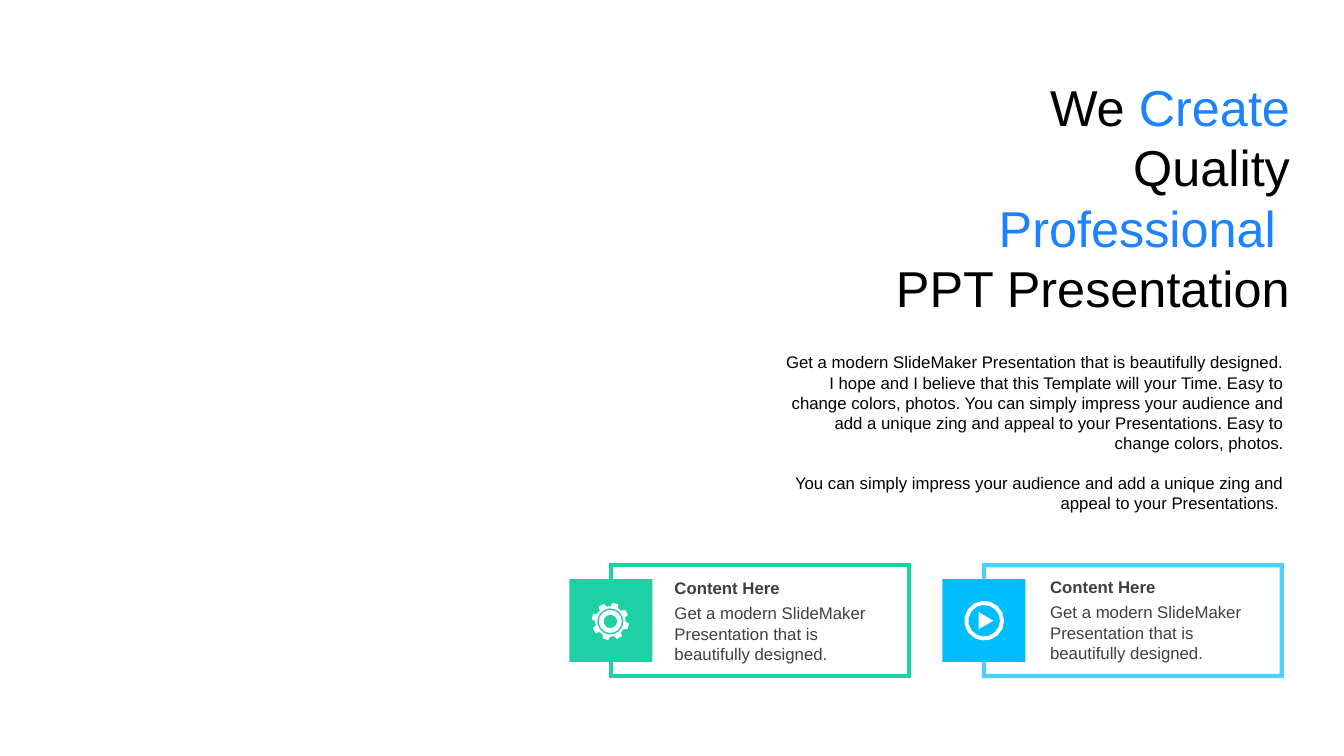
import math
import pptx
import pptx.util
import pptx.dml.color
import pptx.enum.shapes
import pptx.enum.text
import pptx.oxml

Pt = pptx.util.Pt
ALIGN = pptx.enum.text.PP_ALIGN
ANCHOR = pptx.enum.text.MSO_ANCHOR
RECT = pptx.enum.shapes.MSO_SHAPE.RECTANGLE
NS = 'xmlns:a="http://schemas.openxmlformats.org/drawingml/2006/main"'
BLACK, BLUE, GRAY, WHITE = "000000", "1C82FF", "3F3F3F", "FFFFFF"
GREEN, CYAN = "1ED0A6", "00BDFB"
PITCH = 266.4


def tint(target, color):
    target.rgb = pptx.dml.color.RGBColor.from_string(color)


def paint(shape, color):
    shape.shadow.inherit = False
    shape.fill.solid()
    tint(shape.fill.fore_color, color)
    shape.line.fill.background()


def place(shape, left, top, width, height):
    shape.left, shape.top = Pt(left), Pt(top)
    shape.width, shape.height = Pt(width), Pt(height)


def setup(frame, anchor, side, edge):
    frame.word_wrap = True
    frame.auto_size = pptx.enum.text.MSO_AUTO_SIZE.NONE
    frame.vertical_anchor = anchor
    frame.margin_left = frame.margin_right = Pt(side)
    frame.margin_top = frame.margin_bottom = Pt(edge)


def style(para, size, align, bold=False, before=0):
    para.alignment = align
    para.space_before = Pt(before)
    para.font.name = "Arial"
    para.font.size = Pt(size)
    para.font.bold = bold


def add_run(para, text, color):
    run = para.add_run()
    run.text = text
    tint(run.font.color, color)


def add_title(slide):
    title = slide.shapes.title
    place(title, 602.6, 53.6, 321.8, 174.2)
    frame = title.text_frame
    setup(frame, ANCHOR.MIDDLE, 2.88, 0)
    lines = [
        [("We ", BLACK), ("Create", BLUE)],
        [("Quality", BLACK), None, ("Professional ", BLUE)],
        [("PPT Presentation", BLACK)],
    ]
    for i, line in enumerate(lines):
        para = frame.add_paragraph() if i else frame.paragraphs[0]
        style(para, 36, ALIGN.RIGHT)
        for part in line:
            if part:
                add_run(para, *part)
            else:
                para.add_line_break()


def add_body(slide):
    body = slide.placeholders[1]
    place(body, 553.2, 247.9, 371, 123.8)
    frame = body.text_frame
    setup(frame, ANCHOR.TOP, 7.2, 3.6)
    texts = [
        "Get a modern SlideMaker Presentation that is beautifully designed. "
        "I hope and I believe that this Template will your Time. Easy to "
        "change colors, photos. You can simply impress your audience and "
        "add a unique zing and appeal to your Presentations. Easy to "
        "change colors, photos.",
        "You can simply impress your audience and add a unique zing and "
        "appeal to your Presentations. ",
    ]
    for i, text in enumerate(texts):
        para = frame.add_paragraph() if i else frame.paragraphs[0]
        props = para._p.get_or_add_pPr()
        props.set("marL", "0")
        props.set("indent", "0")
        props.append(pptx.oxml.parse_xml(f"<a:buNone {NS}/>"))
        style(para, 12, ALIGN.RIGHT, before=14.4 * i)
        add_run(para, text, BLACK)


def add_label(slide, left, top, height, text, anchor, bold):
    box = slide.shapes.add_textbox(Pt(left), Pt(top), Pt(164.9), Pt(height))
    setup(box.text_frame, anchor, 7.2, 3.6)
    para = box.text_frame.paragraphs[0]
    style(para, 12, ALIGN.LEFT, bold)
    add_run(para, text, GRAY)


def add_card(slide, left, color, alpha, text_left, text_top):
    frame = slide.shapes.add_shape(RECT, Pt(left + 29.6), Pt(403.7), Pt(212.8), Pt(79.2))
    frame.shadow.inherit = False
    frame.fill.background()
    tint(frame.line.color, color)
    frame.line.width = Pt(3)
    line = frame.line._ln
    line.append(pptx.oxml.parse_xml(f'<a:miter {NS} lim="800000"/>'))
    if alpha < 100:
        hue = line.find(".//{*}srgbClr")
        hue.append(pptx.oxml.parse_xml(f'<a:alpha {NS} val="{alpha * 1000}"/>'))
    tile = slide.shapes.add_shape(RECT, Pt(left), Pt(413.7), Pt(59.2), Pt(59.2))
    paint(tile, color)
    add_label(slide, text_left, text_top, 21.6, "Content Here", ANCHOR.MIDDLE, True)
    add_label(slide, text_left, text_top + 18.2, 51.1,
              "Get a modern SlideMaker Presentation that is beautifully designed.",
              ANCHOR.TOP, False)


def polar(mid, radius, angle):
    turn = math.radians(angle)
    return (mid[0] + radius * math.cos(turn), mid[1] + radius * math.sin(turn))


def ring(mid, radius):
    return [polar(mid, radius, a) for a in range(0, 360, 24)]


def cog(mid):
    corners = [(-14, 10.9), (-9, 13.4), (9, 13.4), (14, 10.9)]
    return [polar(mid, radius, 45 * tooth + 15.5 + turn)
            for tooth in range(8) for turn, radius in corners]


def add_icon(slide, loops):
    loops = [[(Pt(x), Pt(y)) for x, y in loop] for loop in loops]
    pen = slide.shapes.build_freeform(*loops[0][0], scale=1.0)
    for i, loop in enumerate(loops):
        if i:
            pen.move_to(*loop[0])
        pen.add_line_segments(loop[1:], close=True)
    paint(pen.convert_to_shape(), WHITE)


def main():
    deck = pptx.Presentation()
    deck.slide_width, deck.slide_height = Pt(960), Pt(540)
    slide = deck.slides.add_slide(deck.slide_layouts[1])
    add_title(slide)
    add_body(slide)
    add_card(slide, 406.8, GREEN, 100, 474.7, 409)
    add_card(slide, 406.8 + PITCH, CYAN, 70, 743, 408.3)
    gear = (436, 443.9)
    add_icon(slide, [cog(gear)] + [ring(gear, r) for r in (9.4, 8.2, 4.8)])
    play = (703, 443.4)
    arrow = [(699.1, 437.2), (709.6, 443.4), (699.1, 449.4)]
    add_icon(slide, [ring(play, 14.2), ring(play, 11.3), arrow])
    deck.save("out.pptx")


if __name__ == "__main__":
    main()
